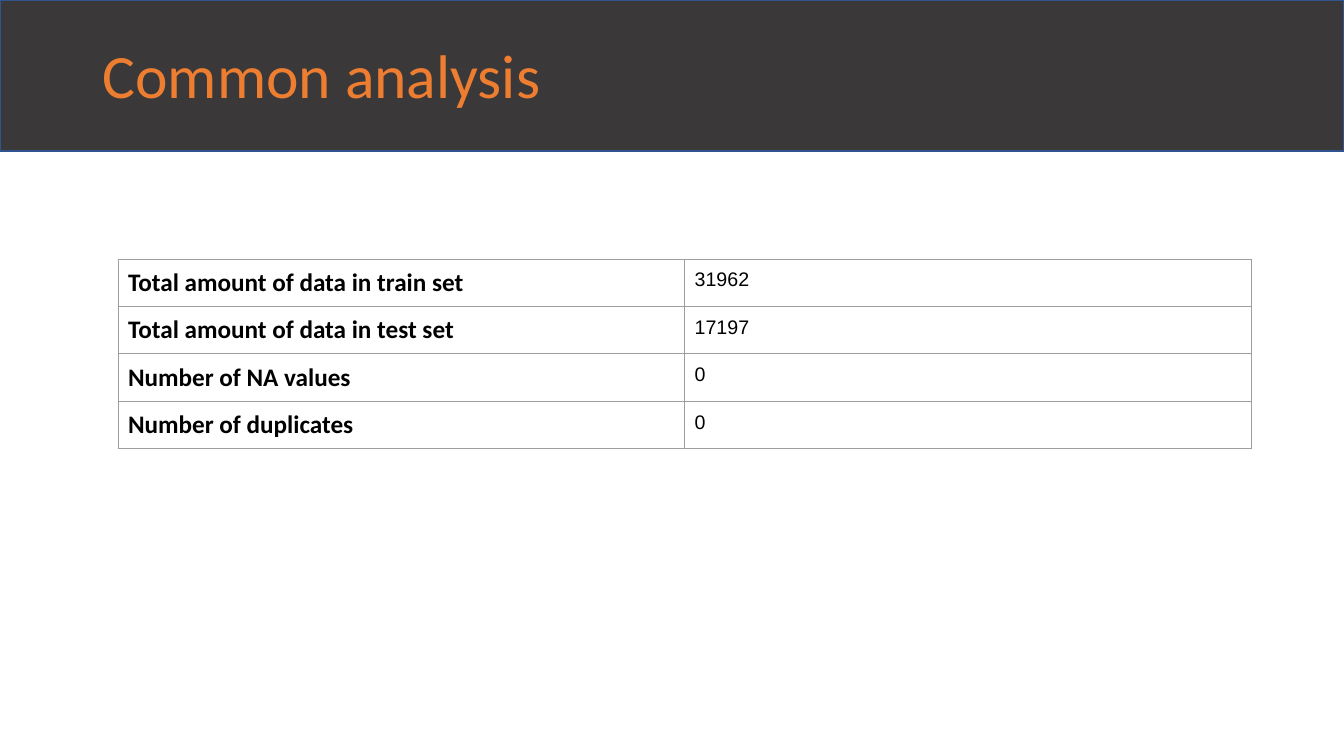
from lxml.etree import SubElement
from pptx import Presentation
from pptx.dml.color import RGBColor
from pptx.enum.shapes import MSO_SHAPE
from pptx.enum.text import MSO_ANCHOR
from pptx.oxml.ns import qn
from pptx.util import Inches, Pt

COLORS = {
    "band": "3A3838",
    "band_line": "31538F",
    "title": "ED7D31",
    "text": "000000",
    "border": "9E9E9E",
}
STATISTICS = [
    ("Total amount of data in train set", "31962"),
    ("Total amount of data in test set", "17197"),
    ("Number of NA values", "0"),
    ("Number of duplicates", "0"),
]
COLUMN_WIDTH = 5.62
ROW_HEIGHT = 0.42


def color(name):
    return RGBColor.from_string(COLORS[name])


def add_span(para, text, size, font, color_name, bold=False):
    span = para.add_run()
    span.text = text
    span.font.size = Pt(size)
    span.font.name = font
    span.font.bold = bold
    span.font.color.rgb = color(color_name)


def add_header_band(page):
    band = page.shapes.add_shape(
        MSO_SHAPE.RECTANGLE, Inches(0), Inches(0), Inches(13.33), Inches(1.5))
    band.shadow.inherit = False
    band.fill.solid()
    band.fill.fore_color.rgb = color("band")
    band.line.color.rgb = color("band_line")
    band.line.width = Pt(1)


def add_title(page, text):
    box = page.shapes.add_textbox(
        Inches(0.92), Inches(0.05), Inches(11.5), Inches(1.45))
    frame = box.text_frame
    frame.word_wrap = True
    frame.vertical_anchor = MSO_ANCHOR.MIDDLE
    para = frame.paragraphs[0]
    para.line_spacing = 0.9
    add_span(para, text, 44, "Calibri", "title")


def set_borders(cell):
    properties = cell._tc.get_or_add_tcPr()
    for side in ("a:lnL", "a:lnR", "a:lnT", "a:lnB"):
        line = SubElement(properties, qn(side), w=str(Pt(0.75)))
        fill = SubElement(line, qn("a:solidFill"))
        SubElement(fill, qn("a:srgbClr"), val=COLORS["border"])


def style_cell(cell):
    """Give the cell even margins, thin borders and no fill."""
    cell.margin_left = cell.margin_right = Inches(0.1)
    cell.margin_top = cell.margin_bottom = Inches(0.1)
    set_borders(cell)
    cell.fill.background()


def add_statistics_table(page, statistics):
    table = page.shapes.add_table(
        len(statistics), 2, Inches(1.17), Inches(2.57),
        Inches(2 * COLUMN_WIDTH), Inches(len(statistics) * ROW_HEIGHT)).table
    table.first_row = False
    table.horz_banding = False
    for column in table.columns:
        column.width = Inches(COLUMN_WIDTH)
    for row, (label, value) in zip(table.rows, statistics):
        row.height = Inches(ROW_HEIGHT)
        label_cell, value_cell = row.cells
        style_cell(label_cell)
        style_cell(value_cell)
        para = label_cell.text_frame.paragraphs[0]
        para.line_spacing = 0.9
        para.space_before = Pt(10)
        add_span(para, label, 18, "Calibri", "text", bold=True)
        add_span(value_cell.text_frame.paragraphs[0], value, 14, "Arial", "text")


def main():
    deck = Presentation()
    deck.slide_width = Inches(13.33)
    deck.slide_height = Inches(7.5)
    page = deck.slides.add_slide(deck.slide_layouts[6])
    add_header_band(page)
    add_title(page, "Common analysis")
    add_statistics_table(page, STATISTICS)
    deck.save("out.pptx")


if __name__ == "__main__":
    main()
